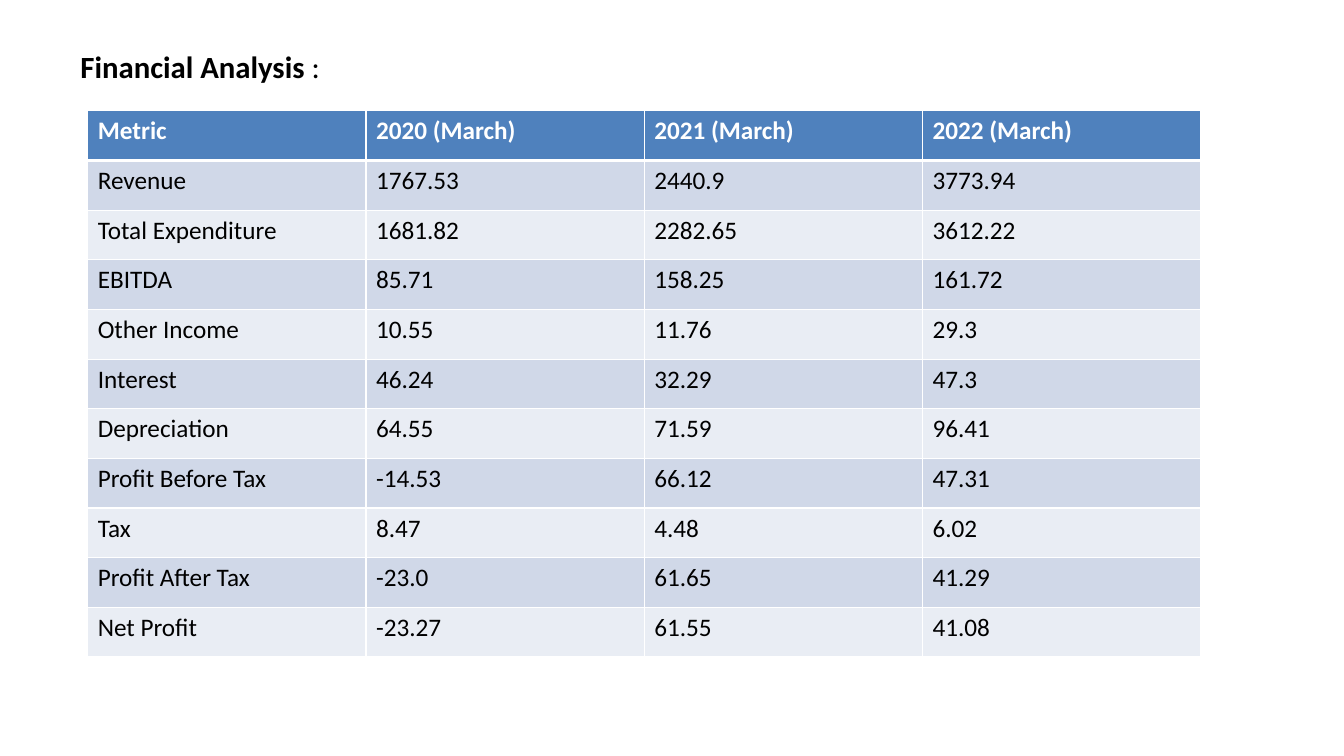
"""Build a slide with a three-year financial analysis table."""
from dataclasses import dataclass

from lxml.etree import SubElement
from pptx import Presentation
from pptx.dml.color import RGBColor
from pptx.enum.text import MSO_ANCHOR
from pptx.oxml.ns import qn
from pptx.util import Inches, Pt


@dataclass(frozen=True)
class Theme:
    font: str = "Calibri"
    title_size: int = 22
    table_size: int = 18
    ink: str = "000000"
    header_ink: str = "FFFFFF"
    header_fill: str = "4F81BD"
    band_fills: tuple = ("E9EDF4", "D0D8E8")
    rule: str = "FFFFFF"
    thin_rule: int = 1
    thick_rule: int = 3


THEME = Theme()
METRICS = [
    ("Metric", "2020 (March)", "2021 (March)", "2022 (March)"),
    ("Revenue", "1767.53", "2440.9", "3773.94"),
    ("Total Expenditure", "1681.82", "2282.65", "3612.22"),
    ("EBITDA", "85.71", "158.25", "161.72"),
    ("Other Income", "10.55", "11.76", "29.3"),
    ("Interest", "46.24", "32.29", "47.3"),
    ("Depreciation", "64.55", "71.59", "96.41"),
    ("Profit Before Tax", "-14.53", "66.12", "47.31"),
    ("Tax", "8.47", "4.48", "6.02"),
    ("Profit After Tax", "-23.0", "61.65", "41.29"),
    ("Net Profit", "-23.27", "61.55", "41.08"),
]


def style_text(paragraph, size, color, bold):
    paragraph.font.name = THEME.font
    paragraph.font.size = Pt(size)
    paragraph.font.bold = bold
    paragraph.font.color.rgb = RGBColor.from_string(color)


def draw_border(cell, side, width):
    line = SubElement(cell._tc.get_or_add_tcPr(), qn(f"a:ln{side}"), w=str(Pt(width)))
    fill = SubElement(line, qn("a:solidFill"))
    SubElement(fill, qn("a:srgbClr"), val=THEME.rule)


presentation = Presentation()
presentation.slide_width = Inches(13.33)
presentation.slide_height = Inches(7.5)
slide = presentation.slides.add_slide(presentation.slide_layouts[6])

heading = slide.shapes.add_textbox(
    Inches(0.7), Inches(0.3), Inches(10.47), Inches(0.71)
).text_frame
heading.word_wrap = True
heading.vertical_anchor = MSO_ANCHOR.MIDDLE
heading_line = heading.paragraphs[0]
style_text(heading_line, THEME.title_size, THEME.ink, None)
for wording, bold in (("Financial Analysis ", True), (":", False)):
    part = heading_line.add_run()
    part.text = wording
    part.font.bold = bold

financials = slide.shapes.add_table(
    len(METRICS), len(METRICS[0]),
    Inches(0.87), Inches(1.1), Inches(11.04), Inches(5.42),
).table

for row, values in enumerate(METRICS):
    is_header = row == 0
    fill = THEME.header_fill if is_header else THEME.band_fills[row % 2]
    ink = THEME.header_ink if is_header else THEME.ink
    top = THEME.thick_rule if row == 1 else THEME.thin_rule
    bottom = THEME.thick_rule if is_header else THEME.thin_rule
    for column, value in enumerate(values):
        cell = financials.cell(row, column)
        cell.text = value
        style_text(cell.text_frame.paragraphs[0], THEME.table_size, ink, is_header)
        for side, width in zip("LRTB", (THEME.thin_rule, THEME.thin_rule, top, bottom)):
            draw_border(cell, side, width)
        cell.fill.solid()
        cell.fill.fore_color.rgb = RGBColor.from_string(fill)

presentation.save("out.pptx")
